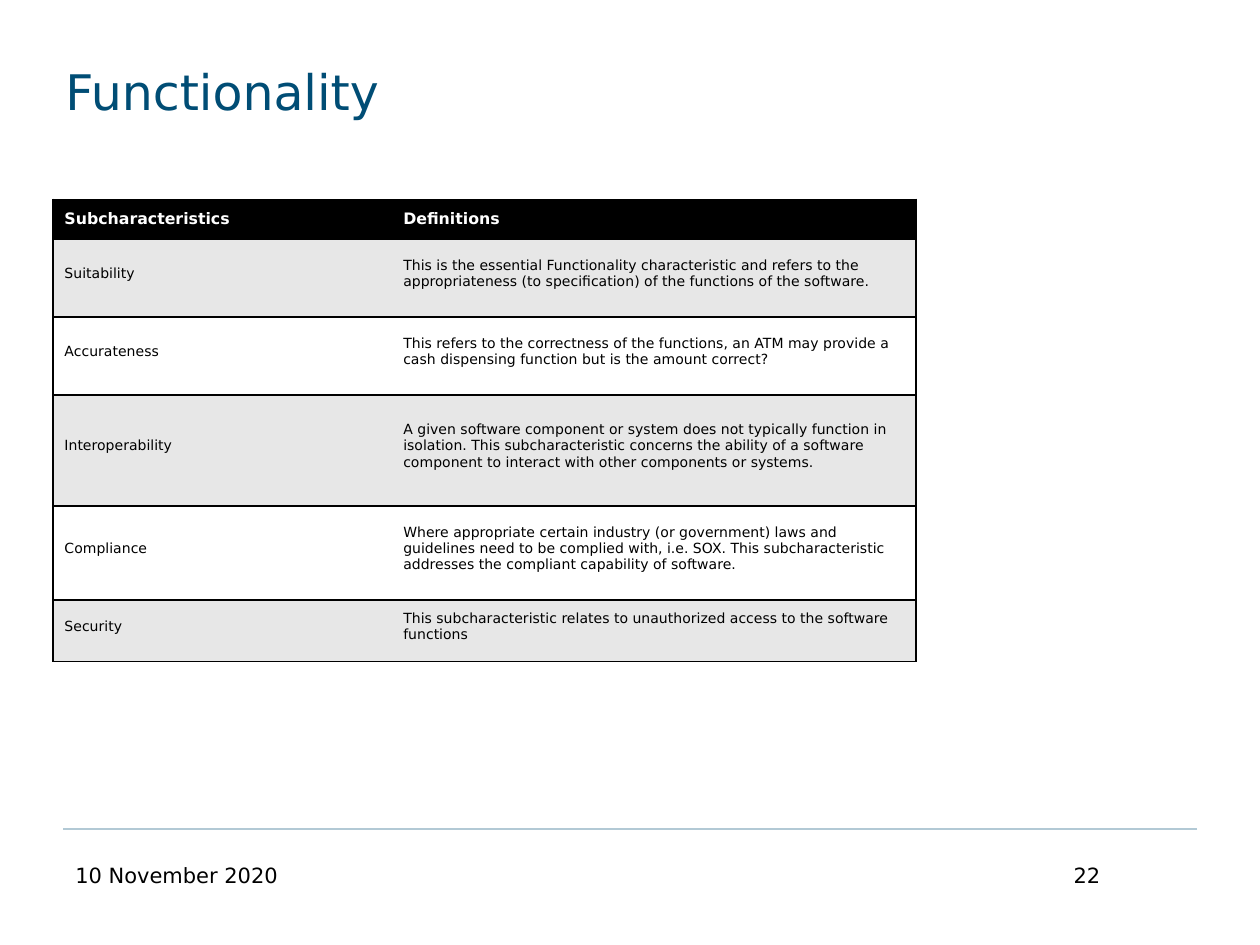
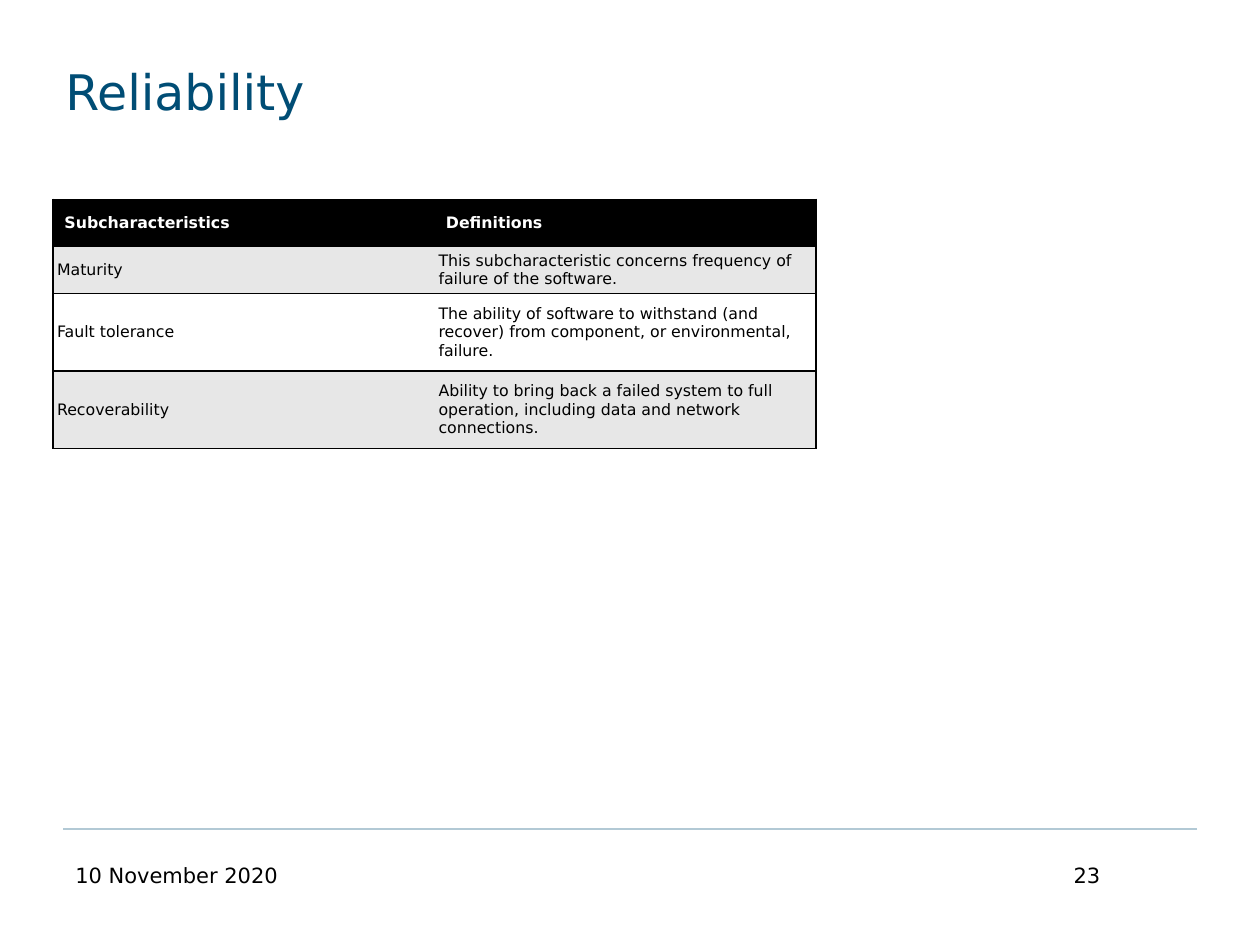
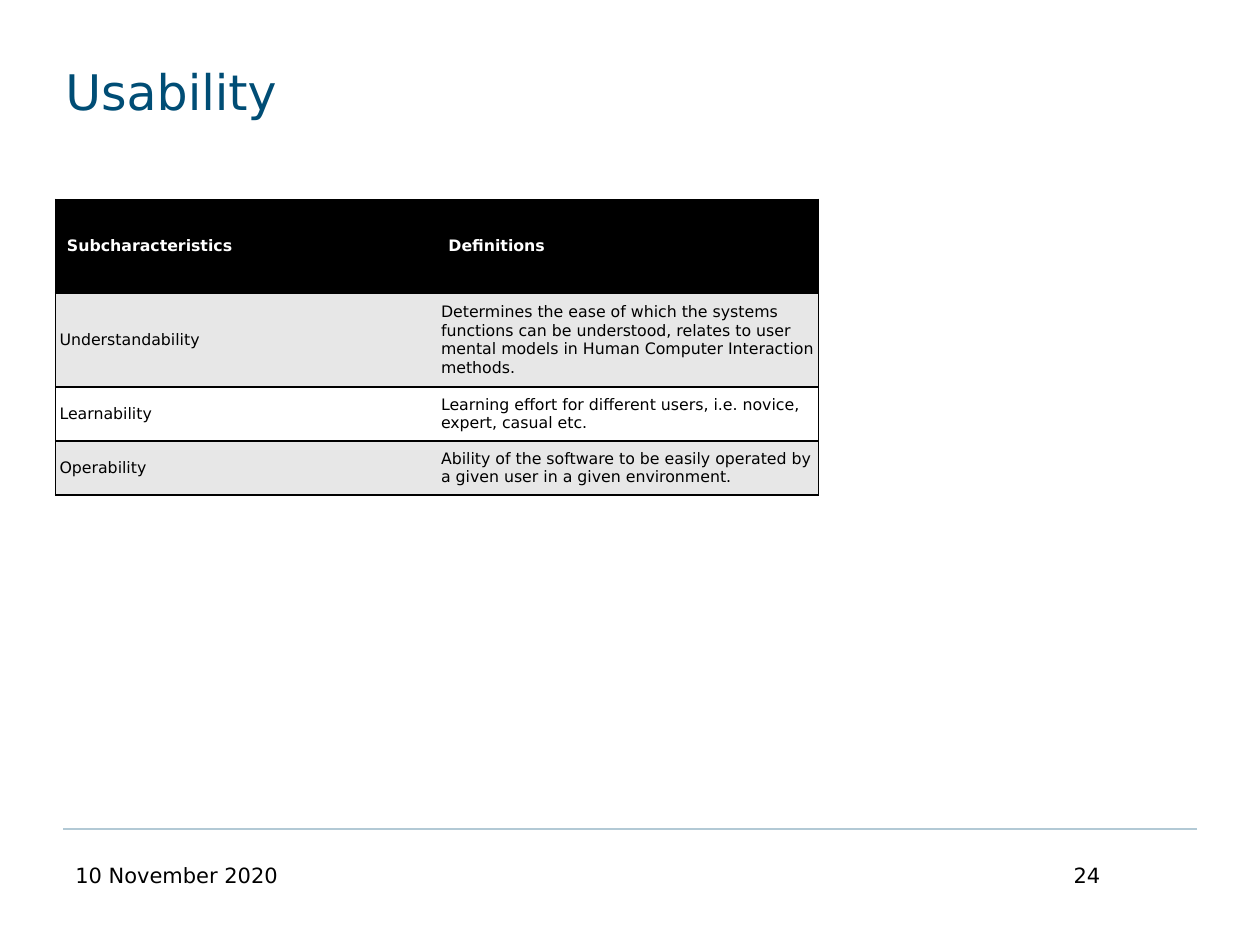
from lxml import etree
from pptx import Presentation
from pptx.dml.color import RGBColor
from pptx.enum.shapes import MSO_CONNECTOR
from pptx.enum.text import MSO_ANCHOR, PP_ALIGN
from pptx.oxml.ns import qn
from pptx.util import Cm, Pt

LEFT, RIGHT = PP_ALIGN.LEFT, PP_ALIGN.RIGHT
MIDDLE = MSO_ANCHOR.MIDDLE
STRAIGHT = MSO_CONNECTOR.STRAIGHT

COLOURS = {
    "title": "004D75",
    "rule": "B2C9D5",
    "black": "000000",
    "white": "FFFFFF",
    "band": "E7E7E7",
}
FONT = "DejaVu Sans"
DATE = "10 November 2020"
FIRST_PAGE = 22
HEADINGS = ("Subcharacteristics", "Definitions")
SIDES = ("left", "top", "right", "bottom")
HEADING_MARGINS = (0.23, 0.18, 0.18, 0.18)
TABLE_TOP = 4.02

# Size and colour of each kind of text
STYLES = {
    "title": {"size": Pt(28), "bold": False, "colour": "title"},
    "footer": {"size": Pt(12), "bold": False, "colour": "black"},
    "heading": {"size": Pt(9), "bold": True, "colour": "white"},
    "body": {"size": Pt(9), "bold": False, "colour": "black"},
    "small body": {"size": Pt(8), "bold": False, "colour": "black"},
}

# Content of the pages, lengths in centimetres
PAGES = [
    {
        "title": "Functionality",
        "left": 1.07,
        "columns": (6.83, 10.57),
        "heights": (0.8, 1.57, 1.57, 2.24, 1.9, 1.24),
        "margins": (0.23, 0, 0.18, 0.18),
        "style": "small body",
        "rows": [
            ("Suitability",
             "This is the essential Functionality characteristic and refers to the "
             "appropriateness (to specification) of the functions of the software."),
            ("Accurateness",
             "This refers to the correctness of the functions, an ATM may provide a "
             "cash dispensing function but is the amount correct?"),
            ("Interoperability",
             "A given software component or system does not typically function in "
             "isolation. This subcharacteristic concerns the ability of a software "
             "component to interact with other components or systems."),
            ("Compliance",
             "Where appropriate certain industry (or government) laws and guidelines "
             "need to be complied with, i.e. SOX. This subcharacteristic addresses "
             "the compliant capability of software."),
            ("Security",
             "This subcharacteristic relates to unauthorized access to the software "
             "functions"),
        ],
    },
    {
        "title": "Reliability",
        "left": 1.07,
        "columns": (7.69, 7.69),
        "heights": (0.95, 0.95, 1.56, 1.56),
        "margins": (0.08, 0.02, 0.08, 0.02),
        "style": "body",
        "rows": [
            ("Maturity",
             "This subcharacteristic concerns frequency of failure of the software."),
            ("Fault tolerance",
             "The ability of software to withstand (and recover) from component, or "
             "environmental, failure."),
            ("Recoverability",
             "Ability to bring back a failed system to full operation, including data "
             "and network connections."),
        ],
    },
    {
        "title": "Usability",
        "left": 1.12,
        "columns": (7.69, 7.69),
        "heights": (1.89, 1.89, 1.09, 1.09),
        "margins": (0.08, 0, 0.08, 0),
        "style": "body",
        "rows": [
            ("Understandability",
             "Determines the ease of which the systems functions can be understood, "
             "relates to user mental models in Human Computer Interaction methods."),
            ("Learnability",
             "Learning effort for different users, i.e. novice, expert, casual etc."),
            ("Operability",
             "Ability of the software to be easily operated by a given user in a "
             "given environment."),
        ],
    },
]


def write_text(frame, text, style, alignment=LEFT):
    para = frame.paragraphs[0]
    para.alignment = alignment
    span = para.add_run()
    span.text = text
    span.font.name = FONT
    for name, value in STYLES[style].items():
        if name == "colour":
            span.font.color.rgb = RGBColor.from_string(COLOURS[value])
        else:
            setattr(span.font, name, value)


def draw_borders(cell, open_side):
    properties = cell._tc.get_or_add_tcPr()
    for side in ("lnL", "lnR", "lnT", "lnB"):
        border = etree.SubElement(properties, qn(f"a:{side}"), w=str(Pt(1)))
        if side == open_side:
            etree.SubElement(border, qn("a:noFill"))
        else:
            fill = etree.SubElement(border, qn("a:solidFill"))
            etree.SubElement(fill, qn("a:srgbClr"), val=COLOURS["black"])


deck = Presentation()
deck.slide_width, deck.slide_height = Cm(25.4), Cm(19.05)
blank = deck.slide_layouts[6]

for number, content in enumerate(PAGES, start=FIRST_PAGE):
    page = deck.slides.add_slide(blank)

    # Footer rule
    rule = page.shapes.add_connector(STRAIGHT, Cm(24.13), Cm(16.71), Cm(1.27), Cm(16.71))
    rule.line.color.rgb = RGBColor.from_string(COLOURS["rule"])
    rule.line.width = Pt(1.25)
    etree.SubElement(rule._element.spPr, qn("a:effectLst"))

    # Title, date and page number
    for text, style, alignment, place, margin in (
        (content["title"], "title", LEFT, (1.07, 1.07, 23.06, 2.97), 0.18),
        (DATE, "footer", LEFT, (1.27, 17.25, 5.92, 1.32), 0.13),
        (str(number), "footer", RIGHT, (16.51, 17.25, 5.92, 1.32), 0.13),
    ):
        box = page.shapes.add_textbox(*map(Cm, place))
        box.text_frame.word_wrap = True
        box.text_frame.margin_top = Cm(margin)
        write_text(box.text_frame, text, style, alignment)

    # Table of subcharacteristics
    rows = [HEADINGS] + content["rows"]
    widths, heights = content["columns"], content["heights"]
    table = page.shapes.add_table(
        len(rows), len(widths), Cm(content["left"]), Cm(TABLE_TOP),
        Cm(sum(widths)), Cm(sum(heights))).table
    table.horz_banding = False
    for column, width in zip(table.columns, widths):
        column.width = Cm(width)

    for row_index, row in enumerate(rows):
        table.rows[row_index].height = Cm(heights[row_index])
        if row_index == 0:
            style, margins, fill = "heading", HEADING_MARGINS, "black"
        else:
            style, margins = content["style"], content["margins"]
            fill = "band" if row_index % 2 else "white"
        for column_index, text in enumerate(row):
            cell = table.cell(row_index, column_index)
            cell.vertical_anchor = MIDDLE
            for side, margin in zip(SIDES, margins):
                setattr(cell, f"margin_{side}", Cm(margin))
            draw_borders(cell, "lnL" if column_index else "lnR")
            cell.fill.solid()
            cell.fill.fore_color.rgb = RGBColor.from_string(COLOURS[fill])
            write_text(cell.text_frame, text, style)

deck.save("out.pptx")
